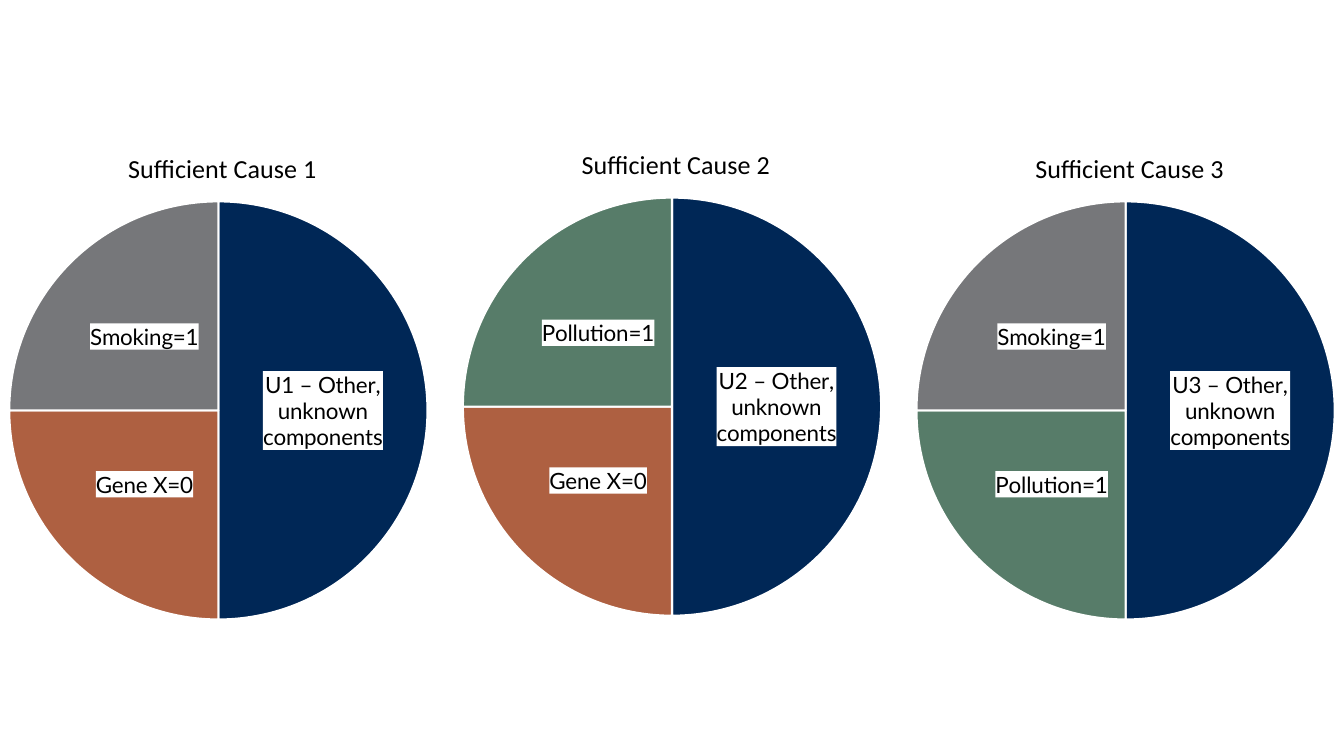
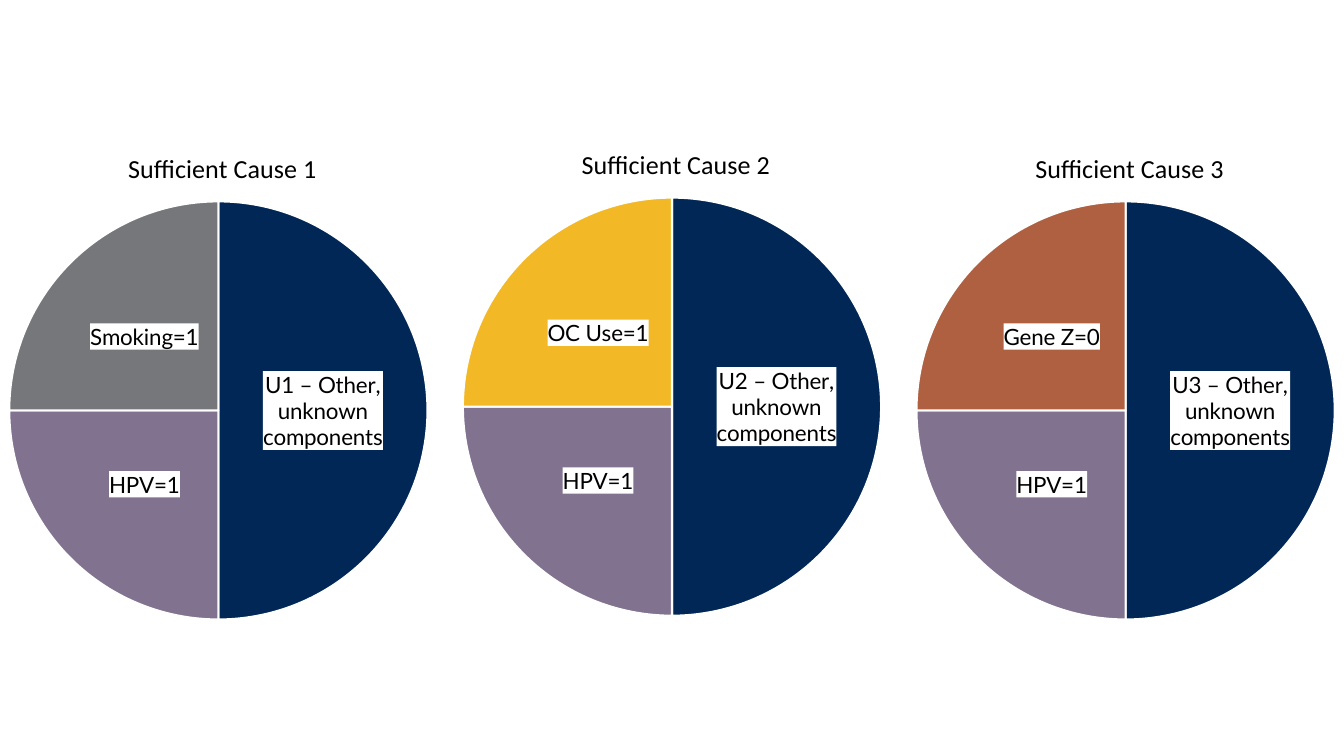
from dataclasses import dataclass

from lxml import etree
from pptx import Presentation
from pptx import util as u
from pptx.chart.data import CategoryChartData
from pptx.dml.color import RGBColor
from pptx.enum import chart as charts
from pptx.oxml import parse_xml
from pptx.oxml.ns import nsdecls, qn


@dataclass(frozen=True)
class Theme:
    ink: str = "000000"
    paper: str = "FFFFFF"
    unknown: str = "002756"
    rust: str = "AE6041"
    grey: str = "76777A"
    green: str = "577C69"
    purple: str = "817290"
    gold: str = "F2B825"
    title_font: str = "Calibri"
    label_font: str = "Lato"
    title_size: float = 18.6
    label_size: float = 16
    divider: float = 1.5


THEME = Theme()
SLIDE_WIDTH, SLIDE_HEIGHT = u.Inches(13.33), u.Inches(7.5)

# Shares of the slide
CHART_WIDTH, CHART_HEIGHT = 0.57, 0.675
COLUMN_PITCH = 0.3375
CHART_TOPS = (0.165, 0.16, 0.165)

# Shares of a chart
TITLE_LEFT, TITLE_TOP = 0.376, 0.04
PIE_LEFT, PIE_TOP, PIE_WIDTH, PIE_HEIGHT = 0.227, 0.15, 0.546, 0.82

FACTOR_COLOURS = {
    "Smoking=1": THEME.grey,
    "Pollution=1": THEME.green,
    "Gene X=0": THEME.rust,
    "Gene Z=0": THEME.rust,
    "HPV=1": THEME.purple,
    "OC Use=1": THEME.gold,
}

# For each slide, the two known factors of each sufficient cause
SLIDES = (
    (("Gene X=0", "Smoking=1"), ("Gene X=0", "Pollution=1"), ("Pollution=1", "Smoking=1")),
    (("HPV=1", "Smoking=1"), ("HPV=1", "OC Use=1"), ("HPV=1", "Gene Z=0")),
)


def format_font(font, name, size):
    font.name, font.size, font.bold = name, u.Pt(size), False
    font.color.rgb = RGBColor.from_string(THEME.ink)


def manual_layout(inner=False, **shares):
    layout = etree.Element(qn("c:layout"))
    manual = etree.SubElement(layout, qn("c:manualLayout"))
    if inner:
        etree.SubElement(manual, qn("c:layoutTarget")).set("val", "inner")
    for mode in ("xMode", "yMode"):
        etree.SubElement(manual, qn("c:" + mode)).set("val", "edge")
    for name, share in shares.items():
        etree.SubElement(manual, qn("c:" + name)).set("val", str(share))
    return layout


def replace_layout(parent, layout, position):
    for old in parent.findall(qn("c:layout")):
        parent.remove(old)
    parent.insert(position, layout)


def area_format(fill):
    return parse_xml(
        f'<c:spPr {nsdecls("c", "a")}>{fill}<a:ln><a:noFill/></a:ln></c:spPr>')


def style_title(chart, title):
    chart.has_title = True
    paragraph = chart.chart_title.text_frame.paragraphs[0]
    run = paragraph.add_run()
    run.text = title
    format_font(run.font, THEME.title_font, THEME.title_size)
    chart.chart_title.include_in_layout = False
    replace_layout(chart.chart_title._element,
                   manual_layout(x=TITLE_LEFT, y=TITLE_TOP), 1)


def style_slices(series, colours):
    for index, colour in enumerate(colours):
        slice_format = series.points[index].format
        slice_format.fill.solid()
        slice_format.fill.fore_color.rgb = RGBColor.from_string(colour)
        slice_format.line.width = u.Pt(THEME.divider)
        slice_format.line.color.rgb = RGBColor.from_string(THEME.paper)


def style_labels(labels):
    labels.show_category_name = True
    labels.show_value = labels.show_percentage = False
    labels.position = charts.XL_LABEL_POSITION.CENTER
    format_font(labels.font, THEME.label_font, THEME.label_size)
    white = f'<a:solidFill><a:srgbClr val="{THEME.paper}"/></a:solidFill>'
    labels._element.find(qn("c:txPr")).addprevious(area_format(white))


def add_cause_pie(slide, box, number, factors):
    data = CategoryChartData()
    data.categories = (f"U{number} – Other, unknown components", *factors)
    data.add_series("Series 1", (50, 25, 25))
    chart = slide.shapes.add_chart(charts.XL_CHART_TYPE.PIE, *box, data).chart
    chart.has_legend = False
    format_font(chart.font, THEME.title_font, 10)
    style_title(chart, f"Sufficient Cause {number}")

    plot = chart.plots[0]
    plot.vary_by_categories = True
    series = plot.series[0]
    style_slices(series, (THEME.unknown, *(FACTOR_COLOURS[name] for name in factors)))
    style_labels(series.data_labels)

    chart_space = chart._chartSpace
    replace_layout(chart_space.chart.plotArea,
                   manual_layout(True, x=PIE_LEFT, y=PIE_TOP, w=PIE_WIDTH, h=PIE_HEIGHT), 0)
    chart_space.chart.addnext(area_format("<a:noFill/>"))


def add_causes_slide(presentation, causes):
    slide = presentation.slides.add_slide(presentation.slide_layouts[6])
    for column, (factors, top) in enumerate(zip(causes, CHART_TOPS)):
        left = 0.5 + (column - 1) * COLUMN_PITCH - CHART_WIDTH / 2
        box = (int(SLIDE_WIDTH * left), int(SLIDE_HEIGHT * top),
               int(SLIDE_WIDTH * CHART_WIDTH), int(SLIDE_HEIGHT * CHART_HEIGHT))
        add_cause_pie(slide, box, column + 1, factors)


def main():
    presentation = Presentation()
    presentation.slide_width, presentation.slide_height = SLIDE_WIDTH, SLIDE_HEIGHT
    for causes in SLIDES:
        add_causes_slide(presentation, causes)
    presentation.save("out.pptx")


if __name__ == "__main__":
    main()
